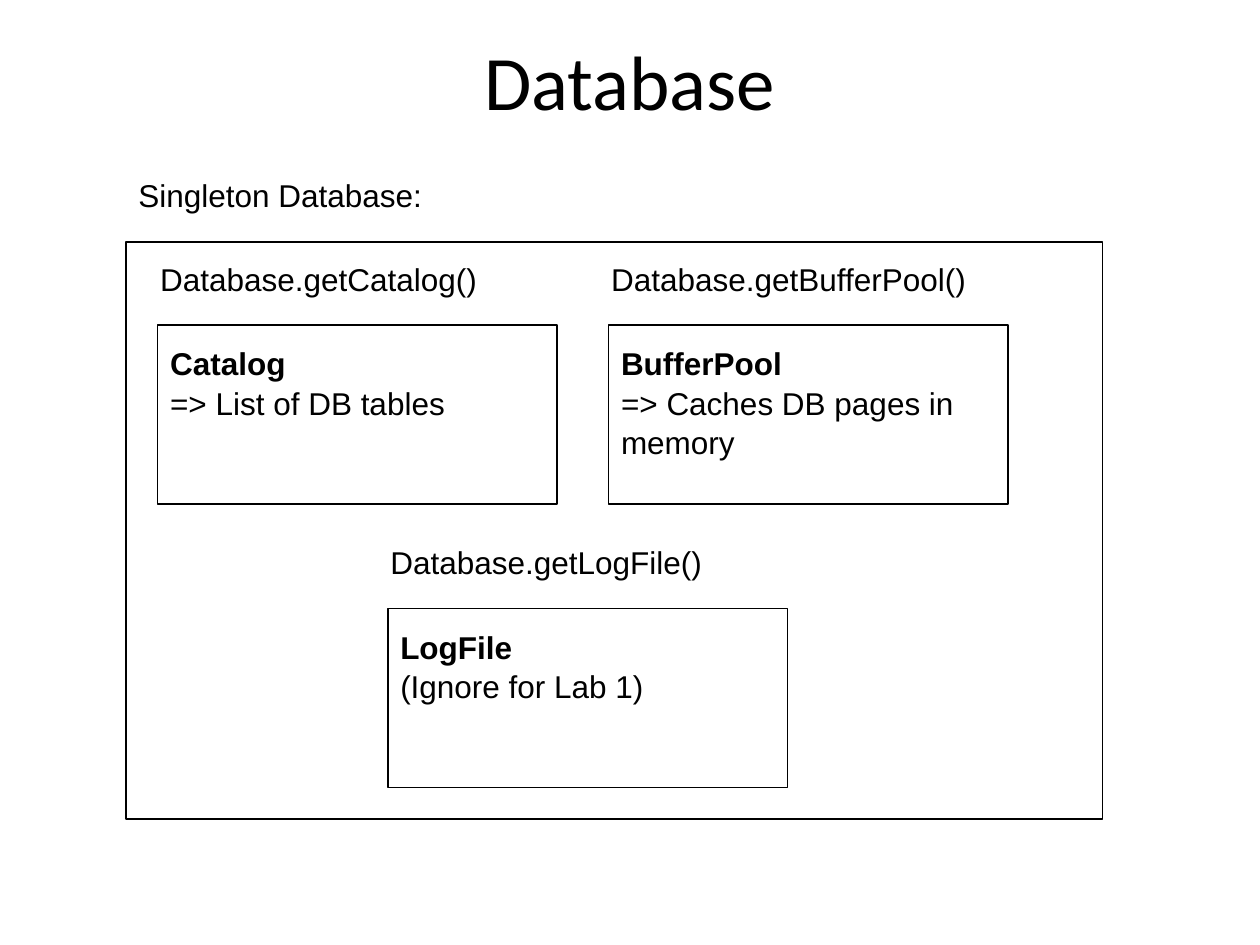
from pptx import Presentation
from pptx.dml.color import RGBColor
from pptx.enum.shapes import MSO_SHAPE
from pptx.enum.text import MSO_ANCHOR, PP_ALIGN
from pptx.util import Cm, Pt

RECTANGLE = MSO_SHAPE.RECTANGLE
MIDDLE, TOP = MSO_ANCHOR.MIDDLE, MSO_ANCHOR.TOP
CENTER, LEFT = PP_ALIGN.CENTER, PP_ALIGN.LEFT

COLORS = {"ink": "000000"}
INK = RGBColor.from_string(COLORS["ink"])

TITLE = "Database"
CAPTION = "Singleton Database:"
# accessor label, component name, description, left and top of the box in cm
COMPONENTS = [
    ("Database.getCatalog()", "Catalog", "=> List of DB tables", 3.18, 6.55),
    ("Database.getBufferPool()", "BufferPool", "=> Caches DB pages in memory", 12.27, 6.55),
    ("Database.getLogFile()", "LogFile", "(Ignore for Lab 1)", 7.82, 12.27),
]

FRAME = (2.54, 4.88, 19.69, 11.63)
BOX_WIDTH, BOX_HEIGHT = 8.05, 3.61
BODY_WIDTH, BODY_HEIGHT, BODY_DROP = 7.41, 2.3, 0.22
LABEL_WIDTH, LABEL_HEIGHT = 9.53, 1.3
LABEL_SHIFT, LABEL_RISE = 0.2, 1.48


def add_outline(slide, left, top, width, height):
    shape = slide.shapes.add_shape(RECTANGLE, Cm(left), Cm(top), Cm(width), Cm(height))
    shape.shadow.inherit = False
    shape.fill.background()
    shape.line.color.rgb = INK
    shape.line.width = Pt(0.75)


def add_text(slide, lines, left, top, width, height, size=18, font="Arial",
             spacing=1.05, alignment=LEFT, anchor=TOP):
    """Add a text box; lines holds one (text, bold) pair per paragraph."""
    box = slide.shapes.add_textbox(Cm(left), Cm(top), Cm(width), Cm(height))
    frame = box.text_frame
    frame.word_wrap = True
    frame.vertical_anchor = anchor
    frame.text = "\n".join(text for text, _ in lines)
    for paragraph, (_, bold) in zip(frame.paragraphs, lines):
        paragraph.alignment = alignment
        paragraph.line_spacing = spacing
        for run in paragraph.runs:
            run.font.name = font
            run.font.size = Pt(size)
            run.font.bold = bold
            run.font.color.rgb = INK


def add_component(slide, label, name, description, left, top):
    add_outline(slide, left, top, BOX_WIDTH, BOX_HEIGHT)
    add_text(slide, [(name, True), (description, False)],
             left, top + BODY_DROP, BODY_WIDTH, BODY_HEIGHT)
    add_text(slide, [(label, False)], left - LABEL_SHIFT, top - LABEL_RISE,
             LABEL_WIDTH, LABEL_HEIGHT)


def main():
    presentation = Presentation()
    presentation.slide_width, presentation.slide_height = Cm(25.4), Cm(19.05)
    slide = presentation.slides.add_slide(presentation.slide_layouts[6])

    add_text(slide, [(TITLE, False)], 1.9, 0.43, 21.59, 2.54, size=44, font="Calibri",
             spacing=0.93, alignment=CENTER, anchor=MIDDLE)
    add_outline(slide, *FRAME)
    add_text(slide, [(CAPTION, False)], FRAME[0], 3.39, LABEL_WIDTH, LABEL_HEIGHT)
    for component in COMPONENTS:
        add_component(slide, *component)

    presentation.save("out.pptx")


if __name__ == "__main__":
    main()
